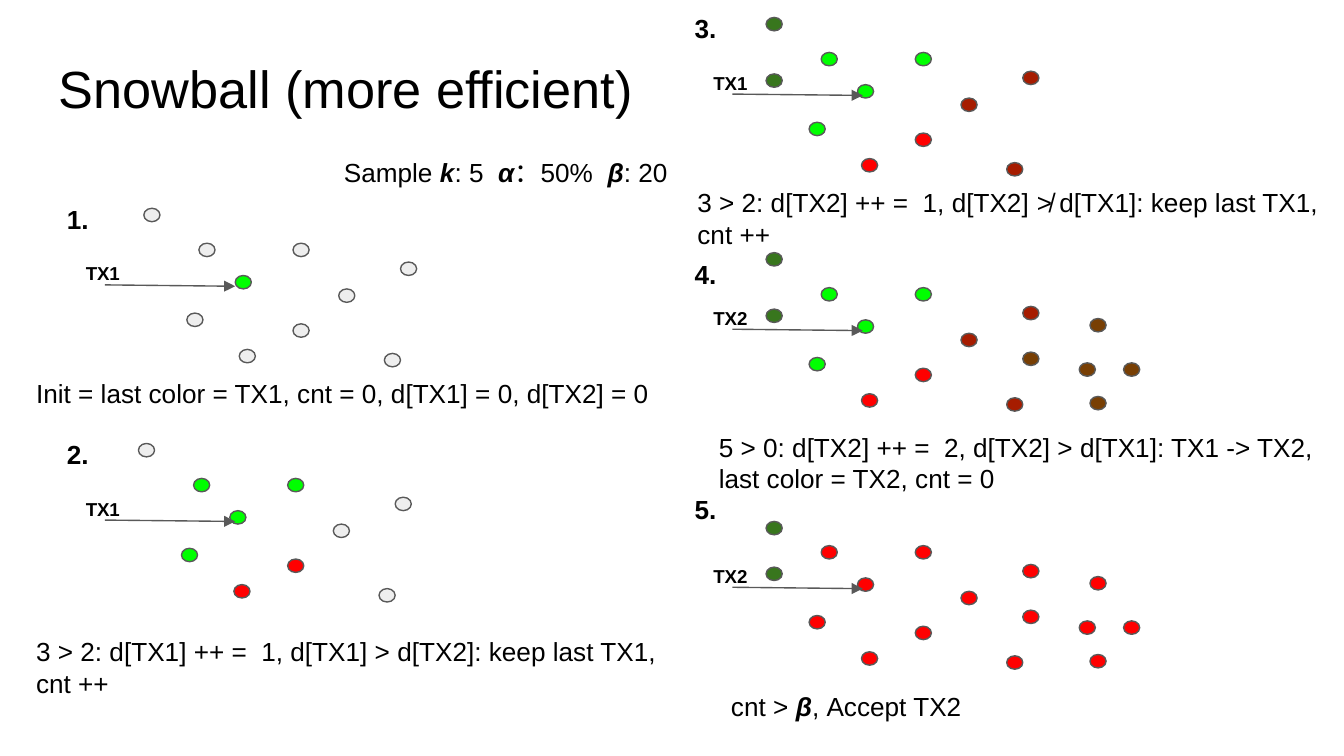
from dataclasses import dataclass

from lxml.etree import SubElement
from pptx import Presentation
from pptx.dml.color import RGBColor
from pptx.enum.shapes import MSO_CONNECTOR, MSO_SHAPE
from pptx.oxml.ns import qn
from pptx.util import Inches, Pt


@dataclass(frozen=True)
class Theme:
    font: str = "Arial"
    text: str = "000000"
    outline: str = "595959"
    idle: str = "EEEEEE"
    green: str = "00FF00"
    forest: str = "38761D"
    red: str = "FF0000"
    dark_red: str = "A61C00"
    brown: str = "783F04"
    title_size: float = 28
    body_size: float = 14
    label_size: float = 10
    line_width: float = 0.75


@dataclass(frozen=True)
class Round:
    number: str
    number_top: float
    color: str
    left: float
    seed: tuple
    nodes: str
    caption: str
    caption_box: tuple
    top_node_shift: float = 0


THEME = Theme()
NODE_COLORS = {
    "E": THEME.idle, "G": THEME.green, "F": THEME.forest,
    "R": THEME.red, "D": THEME.dark_red, "B": THEME.brown,
}
TOP_NODE = 9
NODE_OFFSETS = [
    (0, 0), (-0.27, -0.24), (-0.36, 0.28), (0.43, -0.24), (0.43, 0.36),
    (1.23, -0.1), (1.11, 0.58), (0.77, 0.1), (0.03, 0.55), (-0.68, -0.5),
    (-0.68, -0.08), (1.23, 0.24), (1.65, 0.32), (1.73, 0.57),
    (1.98, 0.32), (1.73, -0.01),
]
ROUNDS = [
    Round("1.", 1.41, "TX1", 0.78, (1.75, 2.05), "GEEEEEEEEE",
          "Init = last color = TX1, cnt = 0, d[TX1] = 0, d[TX2] = 0",
          (0.17, 2.71, 5.03, 0.5)),
    Round("2.", 3.16, "TX1", 0.78, (1.71, 3.8), "GGGGREEERE",
          "3 > 2: d[TX1] ++ =  1, d[TX1] > d[TX2]: keep last TX1,\ncnt ++",
          (0.17, 4.63, 5.17, 0.5)),
    Round("3.", -0.01, "TX1", 5.45, (6.38, 0.63), "GGGGRDDDRFF",
          "3 > 2: d[TX2] ++ =  1, d[TX2] ≯ d[TX1]: keep last TX1, cnt ++",
          (5.09, 1.29, 5.08, 0.5)),
    Round("4.", 1.82, "TX2", 5.45, (6.38, 2.38), "GGGGRDDDRFFBBBBB",
          "5 > 0: d[TX2] ++ =  2, d[TX2] > d[TX1]: TX1 -> TX2, "
          "last color = TX2, cnt = 0",
          (5.25, 3.11, 4.93, 0.5)),
    Round("5.", 3.57, "TX2", 5.45, (6.38, 4.3), "RRRRRRRRRFFRRRRR",
          "cnt > *β*, Accept TX2", (5.34, 5.04, 4.62, 0.5), 0.08),
]


def write_text(frame, text, size=THEME.body_size, bold=False, spacing=1.0):
    """Fill a text frame, setting parts between asterisks in bold italics."""
    for index, line in enumerate(text.split("\n")):
        paragraph = frame.add_paragraph() if index else frame.paragraphs[0]
        paragraph.line_spacing = spacing
        for part, words in enumerate(line.split("*")):
            run = paragraph.add_run()
            run.text = words
            run.font.name = THEME.font
            run.font.size = Pt(size)
            run.font.bold = bold or part % 2 == 1
            run.font.italic = part % 2 == 1
            run.font.color.rgb = RGBColor.from_string(THEME.text)


class SlideBuilder:
    def __init__(self, slide, theme):
        self.slide = slide
        self.theme = theme

    def text(self, box, text, **style):
        shape = self.slide.shapes.add_textbox(*map(Inches, box))
        frame = shape.text_frame
        frame.word_wrap = True
        frame.margin_left = frame.margin_right = Inches(0.1)
        frame.margin_top = frame.margin_bottom = Inches(0.1)
        write_text(frame, text, **style)

    def outline(self, line):
        line.color.rgb = RGBColor.from_string(self.theme.outline)
        line.width = Pt(self.theme.line_width)

    def node(self, left, top, color):
        shape = self.slide.shapes.add_shape(
            MSO_SHAPE.OVAL, Inches(left), Inches(top), Inches(0.12), Inches(0.1))
        shape.shadow.inherit = False
        shape.fill.solid()
        shape.fill.fore_color.rgb = RGBColor.from_string(color)
        self.outline(shape.line)

    def arrow(self, start, end):
        connector = self.slide.shapes.add_connector(
            MSO_CONNECTOR.STRAIGHT, *map(Inches, (*start, *end)))
        self.outline(connector.line)
        properties = connector._element.spPr
        SubElement(properties.find(qn("a:ln")), qn("a:tailEnd"), type="triangle")
        SubElement(properties, qn("a:effectLst"))

    def round(self, item):
        seed_left, seed_top = item.seed
        for index, (color, (x, y)) in enumerate(zip(item.nodes, NODE_OFFSETS)):
            shift = item.top_node_shift if index == TOP_NODE else 0
            self.node(seed_left + x, seed_top + y + shift, NODE_COLORS[color])
        arrow_top = seed_top + 0.07
        self.arrow((item.left, arrow_top), (item.left + 0.97, arrow_top + 0.01))
        self.text((item.left - 0.24, arrow_top - 0.29, 0.67, 0.28), item.color,
                  size=self.theme.label_size, bold=True, spacing=1.15)
        self.text((item.left - 0.38, item.number_top, 0.47, 0.36), item.number,
                  bold=True)
        self.text(item.caption_box, item.caption)


def main():
    presentation = Presentation()
    presentation.slide_width = Inches(10)
    presentation.slide_height = Inches(10 * 9 / 16)
    slide = presentation.slides.add_slide(presentation.slide_layouts[6])
    builder = SlideBuilder(slide, THEME)
    builder.text((0.34, 0.32, 9.32, 0.63), "Snowball (more efficient)",
                 size=THEME.title_size)
    builder.text((2.46, 1.06, 2.69, 0.28), "Sample *k*: 5  *α*：50%  *β*: 20")
    for item in ROUNDS:
        builder.round(item)
    presentation.save("out.pptx")


if __name__ == "__main__":
    main()
